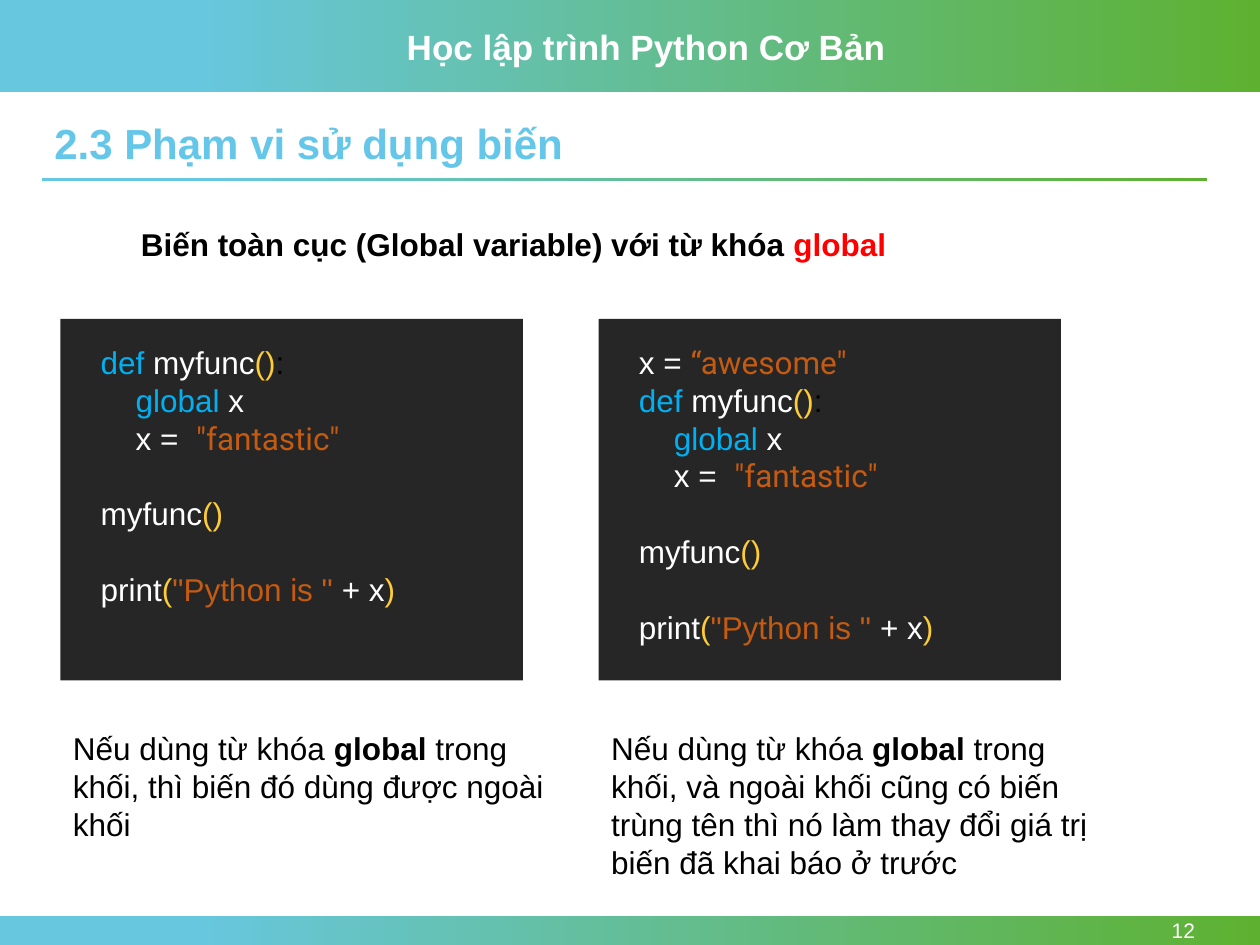
from pptx import Presentation
from pptx.dml.color import RGBColor
from pptx.enum.shapes import MSO_SHAPE
from pptx.enum.text import MSO_ANCHOR, MSO_AUTO_SIZE, PP_ALIGN
from pptx.util import Cm, Pt

RECT = MSO_SHAPE.RECTANGLE
TOP, MIDDLE = MSO_ANCHOR.TOP, MSO_ANCHOR.MIDDLE
LEFT, RIGHT = PP_ALIGN.LEFT, PP_ALIGN.RIGHT
FIXED = MSO_AUTO_SIZE.NONE

BLACK, WHITE, RED = "000000", "FFFFFF", "FF0000"
SKY, GREEN, TITLE = "67C7DF", "5EB130", "64C7E9"
DARK, BLUE, GOLD, RUST = "262626", "00B0F0", "FECC36", "C55A11"
SANS, ROBOTO = "Arial", "Roboto"

AWESOME = [("x = ", WHITE), ("“awesome\"", RUST, ROBOTO)]
SCOPE = [
    [("def ", BLUE), ("myfunc", WHITE), ("()", GOLD), (":", BLACK)],
    [("    global ", BLUE), ("x", WHITE)],
    [("    x =  ", WHITE), ("\"fantastic\"", RUST, ROBOTO)],
]
CALL = [[("myfunc", WHITE), ("()", GOLD)]]
PRINT = [[("print", WHITE), ("(", GOLD), ("\"Python is \" ", RUST),
          ("+ x", WHITE), (")", GOLD)]]
NOTES = [
    "trong khối, thì biến đó dùng được ngoài khối",
    "trong khối, và ngoài khối cũng có biến trùng tên thì nó "
    "làm thay đổi giá trị biến đã khai báo ở trước",
]


def color(code):
    return RGBColor.from_string(code)


def style(run, size, tint, bold=False, face=SANS):
    font = run.font
    font.name, font.size, font.bold = face, Pt(size), bold
    font.color.rgb = color(tint)


def add_rect(slide, box):
    shape = slide.shapes.add_shape(RECT, *map(Cm, box))
    shape.shadow.inherit = False
    shape.line.fill.background()
    return shape


def add_band(slide, box):
    fill = add_rect(slide, box).fill
    fill.gradient()
    fill.gradient_angle = 0
    for stop, place, tint in zip(fill.gradient_stops, (0.15, 1), (SKY, GREEN)):
        stop.position = place
        stop.color.rgb = color(tint)


def add_text(slide, box):
    frame = slide.shapes.add_textbox(*map(Cm, box)).text_frame
    frame.word_wrap = True
    return frame


def add_label(slide, box, text, size, tint, bold=False):
    frame = add_text(slide, box)
    frame.text = text
    style(frame.paragraphs[0].runs[0], size, tint, bold)
    return frame


def add_run(para, text, tint, bold=False, face=SANS):
    run = para.add_run()
    run.text = text
    style(run, 18, tint, bold, face)


def add_header(slide, box):
    left, top, width, height = box
    add_band(slide, box)
    add_label(slide, (left + 7.95, top + 0.38, 10.16, 1.12),
              "Học lập trình Python Cơ Bản", 20, WHITE, True)


def add_footer(slide, box):
    left, top, width, height = box
    add_band(slide, box)
    frame = add_label(slide, (left + 22, top, 2.34, height), "12", 12, WHITE)
    frame.vertical_anchor = MIDDLE
    frame.paragraphs[0].alignment = RIGHT


def add_title(slide, box):
    left, top, width, height = box
    title = slide.shapes.title
    title.left, title.top, title.width, title.height = map(Cm, box)
    frame = title.text_frame
    frame.text = "2.3 Phạm vi sử dụng biến"
    frame.auto_size, frame.vertical_anchor = FIXED, TOP
    para = frame.paragraphs[0]
    para.alignment, para.line_spacing = LEFT, 0.9
    style(para.runs[0], 24, TITLE, True)
    add_band(slide, (left, top + 1.22, width, 0.08))


def add_topic(slide, box):
    para = add_text(slide, box).paragraphs[0]
    add_run(para, "Biến toàn cục (Global variable) với từ khóa ", BLACK, True)
    add_run(para, "global", RED, True)


def add_code(slide, box, blocks):
    left, top, width, height = box
    fill = add_rect(slide, box).fill
    fill.solid()
    fill.fore_color.rgb = color(DARK)
    frame = add_text(slide, (left + 0.56, top + 0.36, width - 0.56, height - 0.72))
    para = None
    for block in blocks:
        for row, line in enumerate(block):
            gap = para is not None and row == 0
            para = frame.add_paragraph() if para is not None else frame.paragraphs[0]
            if gap:
                para.space_before = Pt(21.7)
            for text, tint, *face in line:
                add_run(para, text, tint, False, *face)


def add_column(slide, box, blocks, note):
    left, top, width, height = box
    add_code(slide, (left, top, 9.32, 7.29), blocks)
    para = add_text(slide, (left, top + 8.15, width, height - 8.15)).paragraphs[0]
    add_run(para, "Nếu dùng từ khóa ", BLACK)
    add_run(para, "global ", BLACK, True)
    add_run(para, note, BLACK)


def main():
    deck = Presentation()
    deck.slide_width, deck.slide_height = Cm(25.4), Cm(19.05)
    slide = deck.slides.add_slide(deck.slide_layouts[5])
    add_header(slide, (0, 0, 25.4, 1.85))
    add_footer(slide, (0, 18.47, 25.4, 0.58))
    add_title(slide, (0.84, 2.36, 23.5, 1.17))
    add_topic(slide, (2.59, 4.42, 18.9, 1.02))
    codes = [[SCOPE, CALL, PRINT], [[AWESOME] + SCOPE, CALL, PRINT]]
    for col, (blocks, note) in enumerate(zip(codes, NOTES)):
        add_column(slide, (1.22 + col * 10.85, 6.43, 10.44, 11.48), blocks, note)
    deck.save("out.pptx")


if __name__ == "__main__":
    main()
